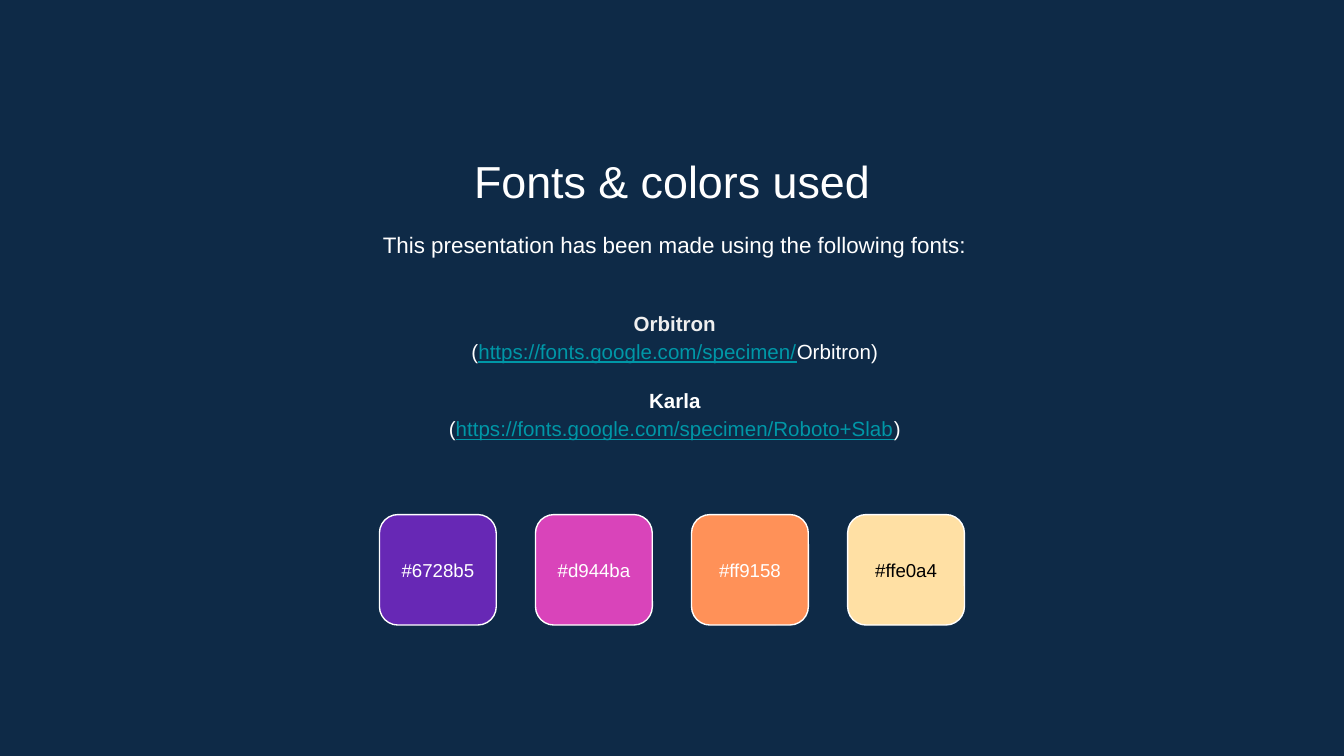
from pptx import Presentation
from pptx.dml.color import RGBColor
from pptx.enum.shapes import MSO_SHAPE
from pptx.enum.text import MSO_ANCHOR, PP_ALIGN
from pptx.util import Pt

COLORS = {"back": "0E2A47", "white": "FFFFFF", "pale": "EFEFEF",
          "link": "0097A7", "black": "000000"}
FONT = "Arial"
WIDTH, HEIGHT = 720, 405

# A run is (text, color, style); style holds "b" for bold, "u" for underline.
TITLE = [[("Fonts & colors used", "white", "")]]
INTRO = [[("This presentation has been made using the following fonts:", "white", "")]]
FONTS = [
    [("Orbitron", "pale", "b")],
    [("(", "white", ""), ("https://fonts.google.com/specimen/", "link", "u"),
     ("Orbitron)", "white", "")],
    [("Karla", "white", "b")],
    [("(", "white", ""), ("https://fonts.google.com/specimen/Roboto+Slab", "link", "u"),
     (")", "white", "")],
]
# Left, top, width, height, text size, line spacing, anchor, paragraphs
BOXES = [
    (82.5, 75, 555, 38, 24, 1, MSO_ANCHOR.TOP, TITLE),
    (84, 114.5, 555, 34.5, 12, 1.15, MSO_ANCHOR.TOP, INTRO),
    (84, 151.2, 555, 98.6, 11, 1.15, MSO_ANCHOR.MIDDLE, FONTS),
]
SWATCHES = [("6728b5", "white"), ("d944ba", "white"),
            ("ff9158", "white"), ("ffe0a4", "black")]
TILE_W, TILE_H, TILE_TOP, STEP = 62.6, 59.2, 275.7, 83.6
PAIR_GAP = 11


def rgb(name):
    return RGBColor.from_string(COLORS[name])


def write(frame, paras, size, spacing, anchor, inset=7.2):
    frame.word_wrap = True
    frame.vertical_anchor = anchor
    frame.margin_left = frame.margin_right = Pt(inset)
    frame.margin_top = frame.margin_bottom = Pt(inset)
    for i, runs in enumerate(paras):
        para = frame.paragraphs[0] if i == 0 else frame.add_paragraph()
        para.alignment = PP_ALIGN.CENTER
        para.line_spacing = spacing
        para.space_before = Pt(PAIR_GAP if i and i % 2 == 0 else 0)
        for text, color, style in runs:
            run = para.add_run()
            run.text = text
            font = run.font
            font.name, font.size = FONT, Pt(size)
            font.color.rgb = rgb(color)
            font.bold = "b" in style
            font.underline = "u" in style


deck = Presentation()
deck.slide_width, deck.slide_height = Pt(WIDTH), Pt(HEIGHT)
slide = deck.slides.add_slide(deck.slide_layouts[6])
slide.background.fill.solid()
slide.background.fill.fore_color.rgb = rgb("back")

for left, top, width, height, size, spacing, anchor, paras in BOXES:
    box = slide.shapes.add_textbox(Pt(left), Pt(top), Pt(width), Pt(height))
    write(box.text_frame, paras, size, spacing, anchor)

row = STEP * (len(SWATCHES) - 1) + TILE_W
for i, (code, color) in enumerate(SWATCHES):
    left = (WIDTH - row) / 2 + i * STEP
    tile = slide.shapes.add_shape(MSO_SHAPE.ROUNDED_RECTANGLE, Pt(left), Pt(TILE_TOP),
                                  Pt(TILE_W), Pt(TILE_H))
    tile.shadow.inherit = False
    tile.fill.solid()
    tile.fill.fore_color.rgb = RGBColor.from_string(code.upper())
    tile.line.color.rgb = rgb("white")
    tile.line.width = Pt(0.75)
    write(tile.text_frame, [[("#" + code, color, "")]], 10, 1, MSO_ANCHOR.MIDDLE, 0)

deck.save("out.pptx")
